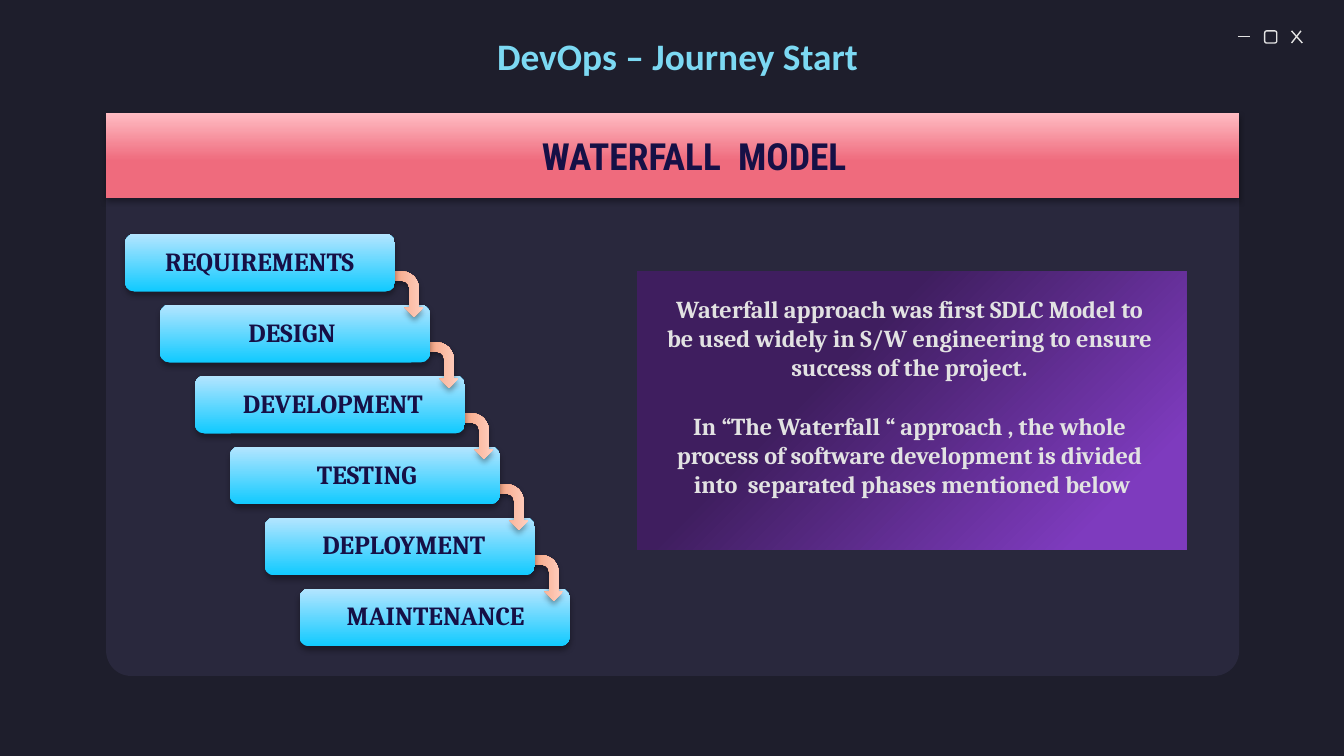
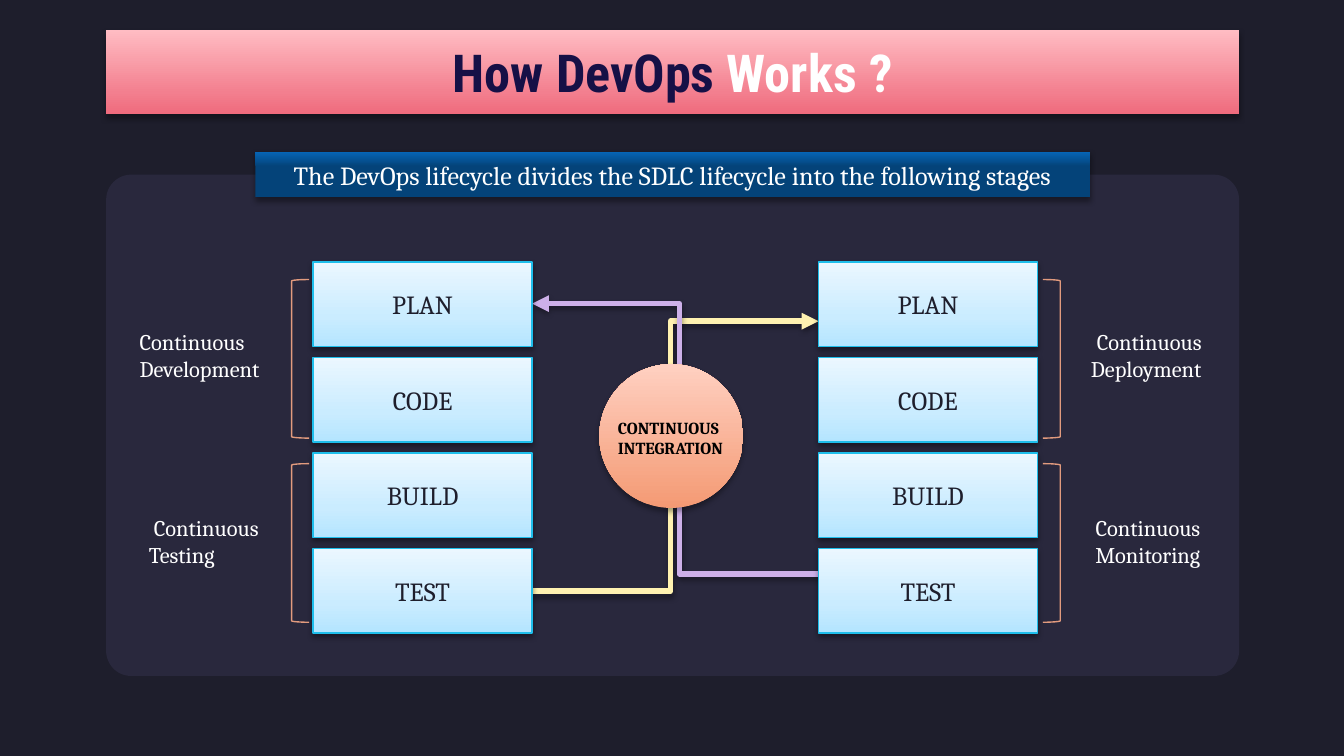
from pptx import Presentation
from pptx.dml.color import RGBColor
from pptx.enum.shapes import MSO_CONNECTOR as Connector, MSO_SHAPE as Shape
from pptx.enum.text import MSO_ANCHOR as Anchor, MSO_AUTO_SIZE as AutoSize, PP_ALIGN as Align
from pptx.oxml import parse_xml
from pptx.oxml.ns import nsdecls, qn
from pptx.util import Inches, Pt

BACKDROP = RGBColor(0x1E, 0x1E, 0x2C)
PANEL = RGBColor(0x29, 0x28, 0x3D)
NAVY = RGBColor(0x16, 0x10, 0x46)
PALE = RGBColor(0xE2, 0xE2, 0xE2)
WHITE = RGBColor(0xFF, 0xFF, 0xFF)
BLACK = RGBColor(0, 0, 0)
AQUA = RGBColor(0x7C, 0xD9, 0xF3)
ROSE = RGBColor(0xEF, 0x6B, 0x7D)
BLUSH = RGBColor(0xFF, 0xBC, 0xC3)
CYAN = RGBColor(0x10, 0xCA, 0xFF)
SKY = RGBColor(0xB4, 0xE5, 0xFF)
ICE = RGBColor(0xCA, 0xEC, 0xFF)
FROST = RGBColor(0xEB, 0xF7, 0xFF)
EDGE = RGBColor(0x1E, 0xBE, 0xEB)
ORANGE = RGBColor(0xF4, 0x9A, 0x74)
PEACH = RGBColor(0xFF, 0xD0, 0xC1)
COPPER = RGBColor(0xE2, 0x9B, 0x7E)
VIOLET = RGBColor(0x7E, 0x3B, 0xBE)
PLUM = RGBColor(0x3F, 0x1E, 0x5F)
LEMON = RGBColor(0xFF, 0xF2, 0xB1)
LILAC = RGBColor(0xCD, 0xB0, 0xE9)
OCEAN = RGBColor(0x04, 0x43, 0x79)
AZURE = RGBColor(0x06, 0x65, 0xB5)

SERIF, CONDENSED, SANS = "Cambria", "Roboto Condensed", "Calibri"
PANEL_BOX = (0.79, 1.3, 8.43, 3.73)
UPWARD = '<a:lin ang="16200000" scaled="0"/>'
FROM_CORNER = ('<a:path path="circle"><a:fillToRect l="100000" t="100000"/></a:path>'
               '<a:tileRect r="-100000" b="-100000"/>')
BLUE_STEP = [(0, CYAN), (100, SKY)]
ORANGE_GLOW = [(0, ORANGE), (100, PEACH)]

# name, left and width of the label
PHASES = [
    ("REQUIREMENTS", 1.13, 1.74),
    ("DESIGN", 1.75, 0.91),
    ("DEVELOPMENT", 1.71, 1.7),
    ("TESTING", 2.26, 1.15),
    ("DEPLOYMENT", 2.3, 1.53),
    ("MAINTENANCE", 2.48, 1.68),
]
# lines, each a text and its alignment
SUMMARY = [
    ("Waterfall approach was first SDLC Model to ", Align.CENTER),
    ("be used widely in S/W engineering to ensure ", Align.CENTER),
    ("success of the project. ", Align.CENTER),
    ("In “The Waterfall “ approach , the whole ", Align.CENTER),
    ("process of software development is divided ", Align.CENTER),
    ("into  separated phases mentioned below", Align.CENTER),
]
STAGES = ["PLAN", "CODE", "BUILD", "TEST"]
# box, alignments, second word
GROUP_LABELS = [
    ((0.94, 2.39, 1.19, 0.5), Align.LEFT, Align.CENTER, "Development"),
    ((1.01, 3.78, 1.05, 0.5), Align.CENTER, Align.LEFT, "Testing"),
    ((7.96, 2.39, 1.08, 0.5), Align.RIGHT, Align.CENTER, "Deployment"),
    ((7.98, 3.78, 1.05, 0.5), Align.RIGHT, Align.CENTER, "Monitoring"),
]


def inches(box):
    return [Inches(value) for value in box]


def paint_gradient(shape, stops, direction=UPWARD):
    shape.fill.gradient()
    plain = shape.element.spPr.find(qn("a:gradFill"))
    marks = "".join(f'<a:gs pos="{percent * 1000}"><a:srgbClr val="{color}"/></a:gs>'
                    for percent, color in stops)
    plain.getparent().replace(plain, parse_xml(
        f'<a:gradFill {nsdecls("a")} rotWithShape="1"><a:gsLst>{marks}</a:gsLst>'
        f'{direction}</a:gradFill>'))


def cast_shadow(shape, distance=1.8, opacity=35):
    properties = shape.element.spPr
    effects = properties.find(qn("a:effectLst"))
    if effects is None:
        effects = parse_xml(f'<a:effectLst {nsdecls("a")}/>')
        properties.append(effects)
    effects.append(parse_xml(
        f'<a:outerShdw {nsdecls("a")} blurRad="{Pt(3.1)}" dist="{Pt(distance)}" '
        f'dir="5400000" rotWithShape="0"><a:srgbClr val="000000">'
        f'<a:alpha val="{opacity * 1000}"/></a:srgbClr></a:outerShdw>'))


def add_shape(page, kind, box, fill=None, line=None):
    """Add a flat shape; fill is a colour, a list of gradient stops or None."""
    shape = page.shapes.add_shape(kind, *inches(box))
    shape.shadow.inherit = False
    if isinstance(fill, list):
        paint_gradient(shape, fill)
    elif fill is not None:
        shape.fill.solid()
        shape.fill.fore_color.rgb = fill
    else:
        shape.fill.background()
    if line is None:
        shape.line.fill.background()
    else:
        shape.line.color.rgb = line
        shape.line.width = Pt(0.75)
    return shape


def add_line(page, kind, ends, color, width):
    line = page.shapes.add_connector(kind, *inches(ends))
    line.line.color.rgb = color
    line.line.width = Pt(width)
    line.element.spPr.append(parse_xml(f'<a:effectLst {nsdecls("a")}/>'))
    return line


def set_font(para, name, size, color, bold):
    para.font.name = name
    para.font.size = Pt(size)
    para.font.bold = bold
    para.font.color.rgb = color


def write(shape, lines, size, color, bold=False, font=SERIF, wrap=True):
    frame = shape.text_frame
    frame.word_wrap = wrap
    if not wrap:
        frame.auto_size = AutoSize.SHAPE_TO_FIT_TEXT
    for index, (text, align) in enumerate(lines):
        para = frame.add_paragraph() if index else frame.paragraphs[0]
        para.add_run().text = text
        para.alignment = align
        set_font(para, font, size, color, bold)
    return frame


def set_insets(frame, left=0.1, bottom=0.1):
    frame.margin_left = Inches(left)
    frame.margin_bottom = Inches(bottom)
    frame.margin_top = frame.margin_right = Inches(0.1)
    frame.vertical_anchor = Anchor.MIDDLE


def add_label(page, box, text, size, color, font=SERIF):
    label = page.shapes.add_textbox(*inches(box))
    set_insets(write(label, [(text, Align.LEFT)], size, color, True, font))


def title_band(page, box, spans, size, rose_end, left_inset=0.1):
    """Move the title placeholder to the front and style it as a rose band."""
    title = page.shapes.title
    title.element.getparent().append(title.element)
    title.left, title.top, title.width, title.height = inches(box)
    paint_gradient(title, [(rose_end, ROSE), (100, BLUSH)])
    cast_shadow(title)
    frame = title.text_frame
    frame.auto_size = AutoSize.NONE
    frame.word_wrap = True
    set_insets(frame, left_inset)
    para = frame.paragraphs[0]
    para.alignment = Align.CENTER
    set_font(para, CONDENSED, size, NAVY, True)
    for text, color in spans:
        span = para.add_run()
        span.text = text
        span.font.color.rgb = color


def new_page(deck):
    page = deck.slides.add_slide(deck.slide_layouts[5])
    panel = add_shape(page, Shape.ROUNDED_RECTANGLE, PANEL_BOX, PANEL)
    panel.adjustments[0] = 0.05
    return page


def window_controls(page, box):
    left, top, width, height = box
    right, low = left + width, top + height
    for ends in [(left, top + 0.04, left + 0.09, top + 0.04),
                 (right - 0.08, top, right, low),
                 (right - 0.01, top, right - 0.08, low)]:
        add_line(page, Connector.STRAIGHT, ends, PALE, 0.75)
    add_shape(page, Shape.ROUNDED_RECTANGLE, (left + 0.2, top, 0.09, 0.09), line=PALE)


def staircase(page, box):
    """Draw the phases from the lowest up, so each step covers its arrow's tail."""
    left, top, width, height = box
    step_width, step_height = 2.01, 0.43
    last = len(PHASES) - 1
    across, down = (width - step_width) / last, (height - step_height) / last
    for index in range(last, -1, -1):
        x, y = left + index * across, top + index * down
        if index < last:
            arrow = add_shape(page, Shape.BENT_ARROW, (x + 1.91, y + 0.31, 0.34, 0.28),
                              ORANGE_GLOW)
            arrow.rotation = 90
            cast_shadow(arrow)
        step = add_shape(page, Shape.ROUNDED_RECTANGLE, (x, y, step_width, step_height),
                         BLUE_STEP)
        cast_shadow(step)
    for index, (name, label_left, label_width) in enumerate(PHASES):
        label_top = top + index * down - 0.14
        add_label(page, (label_left, label_top, label_width, 0.68), name, 14, NAVY)


def summary_card(page, box):
    card = add_shape(page, Shape.RECTANGLE, box)
    paint_gradient(card, [(14, VIOLET), (65, PLUM)], FROM_CORNER)
    frame = write(card, SUMMARY, 13, PALE, True)
    set_insets(frame, bottom=0.31)
    frame.paragraphs[3].space_before = Pt(15.7)


def stage_column(page, box):
    left, top, width, height = box
    stage_height = 0.63
    pitch = (height - stage_height) / (len(STAGES) - 1)
    for index, name in enumerate(STAGES):
        stage = add_shape(page, Shape.RECTANGLE,
                          (left, top + index * pitch, width, stage_height),
                          [(0, SKY), (35, ICE), (100, FROST)], EDGE)
        cast_shadow(stage, 1.6, 38)
        write(stage, [(name, Align.CENTER)], 14, BACKDROP)


def bracket_pair(page, box, flipped=False):
    left, top, width, height = box
    each = 1.18
    for y in (top, top + height - each):
        bracket = add_shape(page, Shape.LEFT_BRACKET, (left, y, width, each), line=COPPER)
        if flipped:
            bracket.element.spPr.find(qn("a:xfrm")).set("flipH", "1")


def flow_arrow(page, ends, color):
    arrow = add_line(page, Connector.ELBOW, ends, color, 3)
    arrow.element.spPr.find(qn("a:ln")).append(
        parse_xml(f'<a:tailEnd {nsdecls("a")} type="triangle"/>'))
    cast_shadow(arrow)


def integration_hub(page, box):
    left, top, _, _ = box
    cast_shadow(add_shape(page, Shape.OVAL, box, ORANGE_GLOW))
    caption = page.shapes.add_textbox(*inches((left + 0.04, top + 0.35, 1.03, 0.4)))
    write(caption, [("CONTINUOUS", Align.LEFT), ("INTEGRATION", Align.LEFT)],
          9, BLACK, True, wrap=False)


def lifecycle_bar(page, box):
    bar = add_shape(page, Shape.RECTANGLE, box, [(68, OCEAN), (100, AZURE)])
    cast_shadow(bar, 1.6, 38)
    text = "The DevOps lifecycle divides the SDLC lifecycle into the following stages"
    write(bar, [(text, Align.CENTER)], 14, WHITE, wrap=False)


def waterfall_page(deck):
    page = new_page(deck)
    window_controls(page, (9.21, 0.23, 0.48, 0.09))
    staircase(page, (0.93, 1.74, 3.31, 3.07))
    title_band(page, (0.79, 0.84, 8.43, 0.63), [("WATERFALL  MODEL", NAVY)], 20, 43, 0.42)
    add_label(page, (3.6, 0.07, 3.03, 0.68), "DevOps – Journey Start", 20, AQUA, SANS)
    summary_card(page, (4.74, 2.02, 4.09, 2.07))


def lifecycle_page(deck):
    page = new_page(deck)
    flow_arrow(page, (3.89, 4.4, 6.09, 2.39), LEMON)
    flow_arrow(page, (6.15, 4.27, 3.96, 2.26), LILAC)
    title_band(page, (0.79, 0.22, 8.43, 0.63),
               [("How DevOps ", NAVY), ("Works ?", WHITE)], 28, 0)
    integration_hub(page, (4.46, 2.71, 1.07, 1.07))
    for left in (2.33, 6.09):
        stage_column(page, (left, 1.95, 1.63, 2.76))
    bracket_pair(page, (2.17, 2.08, 0.13, 2.55))
    bracket_pair(page, (7.76, 2.08, 0.13, 2.55), flipped=True)
    for box, first_align, second_align, word in GROUP_LABELS:
        label = page.shapes.add_textbox(*inches(box))
        write(label, [("Continuous", first_align), (word, second_align)],
              12, WHITE, wrap=False)
    lifecycle_bar(page, (1.9, 1.13, 6.21, 0.34))


def main():
    deck = Presentation()
    deck.slide_width = Inches(10)
    deck.slide_height = deck.slide_width * 9 // 16
    backdrop = deck.slide_master.background.fill
    backdrop.solid()
    backdrop.fore_color.rgb = BACKDROP
    waterfall_page(deck)
    lifecycle_page(deck)
    deck.save("out.pptx")


if __name__ == "__main__":
    main()
